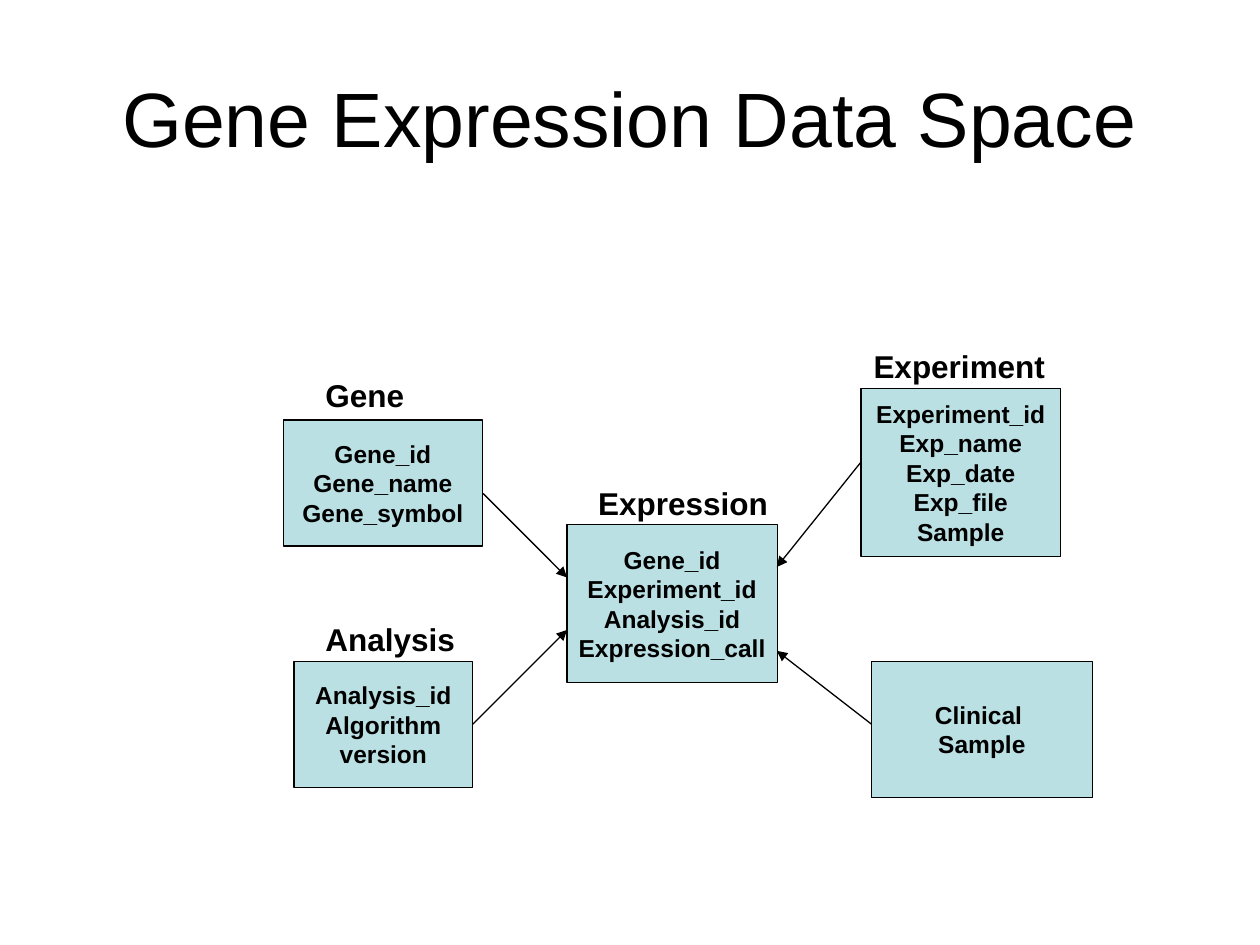
from lxml import etree
from pptx import Presentation
from pptx.dml.color import RGBColor
from pptx.enum.shapes import MSO_CONNECTOR as CONN, MSO_SHAPE as SHAPE
from pptx.enum.text import MSO_ANCHOR as ANCHOR, MSO_AUTO_SIZE as AUTO, PP_ALIGN as ALIGN
from pptx.oxml.ns import qn
from pptx.util import Cm, Pt

BLACK = RGBColor(0x00, 0x00, 0x00)
PALE_TEAL = RGBColor(0xBB, 0xE0, 0xE3)
FONT = "Arial"
LINE_WIDTH = Pt(0.75)
RIGHT_SIDE = 3

# Entity: left, top, width, height in cm, then its fields
ENTITIES = {
    "Expression": (11.43, 10.58, 4.24, 3.18,
                   ["Gene_id", "Experiment_id", "Analysis_id", "Expression_call"]),
    "Analysis": (5.93, 13.33, 3.6, 2.54, ["Analysis_id", "Algorithm", "version"]),
    "Gene": (5.71, 8.47, 4.02, 2.54, ["Gene_id", "Gene_name", "Gene_symbol"]),
    "Experiment": (17.36, 7.83, 4.02, 3.39,
                   ["Experiment_id", "Exp_name", "Exp_date", "Exp_file", "Sample"]),
    "Clinical Sample": (17.57, 13.33, 4.45, 2.75, ["Clinical ", "Sample"]),
}

# Heading: text, left, top, width in cm
HEADINGS = [
    ("Gene", 6.31, 7.45, 2.12),
    ("Analysis", 6.31, 12.37, 3.14),
    ("Expression", 11.81, 9.63, 3.96),
    ("Experiment", 17.36, 6.88, 3.98),
]

# Arrow: source entity, start x, y and end x, y in cm
ARROWS = [
    ("Gene", 9.74, 9.95, 11.43, 11.64),
    ("Analysis", 9.53, 14.6, 11.43, 12.7),
    ("Experiment", 17.36, 9.31, 15.66, 11.43),
    ("Clinical Sample", 17.57, 14.6, 15.66, 13.12),
]


def write_lines(tf, lines, size, bold=True, align=ALIGN.CENTER):
    for i, line in enumerate(lines):
        p = tf.paragraphs[0] if i == 0 else tf.add_paragraph()
        p.alignment = align
        r = p.add_run()
        r.text = line
        r.font.name = FONT
        r.font.size = Pt(size)
        r.font.bold = bold
        r.font.color.rgb = BLACK


def add_title(s, text):
    tf = s.shapes.add_textbox(Cm(1.27), Cm(0.76), Cm(22.86), Cm(3.18)).text_frame
    tf.word_wrap = True
    tf.vertical_anchor = ANCHOR.MIDDLE
    write_lines(tf, [text], 44, bold=False)


def add_entity(s, left, top, width, height, fields):
    sp = s.shapes.add_shape(SHAPE.RECTANGLE, Cm(left), Cm(top), Cm(width), Cm(height))
    sp.shadow.inherit = False
    sp.fill.solid()
    sp.fill.fore_color.rgb = PALE_TEAL
    sp.line.color.rgb = BLACK
    sp.line.width = LINE_WIDTH
    tf = sp.text_frame
    tf.word_wrap = False
    tf.vertical_anchor = ANCHOR.MIDDLE
    write_lines(tf, fields, 14)
    return sp


def add_heading(s, text, left, top, width):
    tf = s.shapes.add_textbox(Cm(left), Cm(top), Cm(width), Cm(1.02)).text_frame
    tf.word_wrap = False
    tf.auto_size = AUTO.SHAPE_TO_FIT_TEXT
    write_lines(tf, [text], 18, align=ALIGN.LEFT)


def add_arrow(s, x1, y1, x2, y2):
    arrow = s.shapes.add_connector(CONN.STRAIGHT, Cm(x1), Cm(y1), Cm(x2), Cm(y2))
    arrow.line.color.rgb = BLACK
    arrow.line.width = LINE_WIDTH
    etree.SubElement(arrow.line._get_or_add_ln(), qn("a:tailEnd"), type="triangle")
    etree.SubElement(arrow._element.spPr, qn("a:effectLst"))
    return arrow


def main():
    prs = Presentation()
    prs.slide_width, prs.slide_height = Cm(25.4), Cm(19.05)
    s = prs.slides.add_slide(prs.slide_layouts[6])

    add_title(s, "Gene Expression Data Space")

    # Entity boxes and their headings
    boxes = {name: add_entity(s, *layout) for name, layout in ENTITIES.items()}
    for heading in HEADINGS:
        add_heading(s, *heading)

    # Arrows into Expression; only Analysis leaves from the middle of a side
    for source, *ends in ARROWS:
        arrow = add_arrow(s, *ends)
        if source == "Analysis":
            arrow.begin_connect(boxes[source], RIGHT_SIDE)

    prs.save("out.pptx")


if __name__ == "__main__":
    main()
